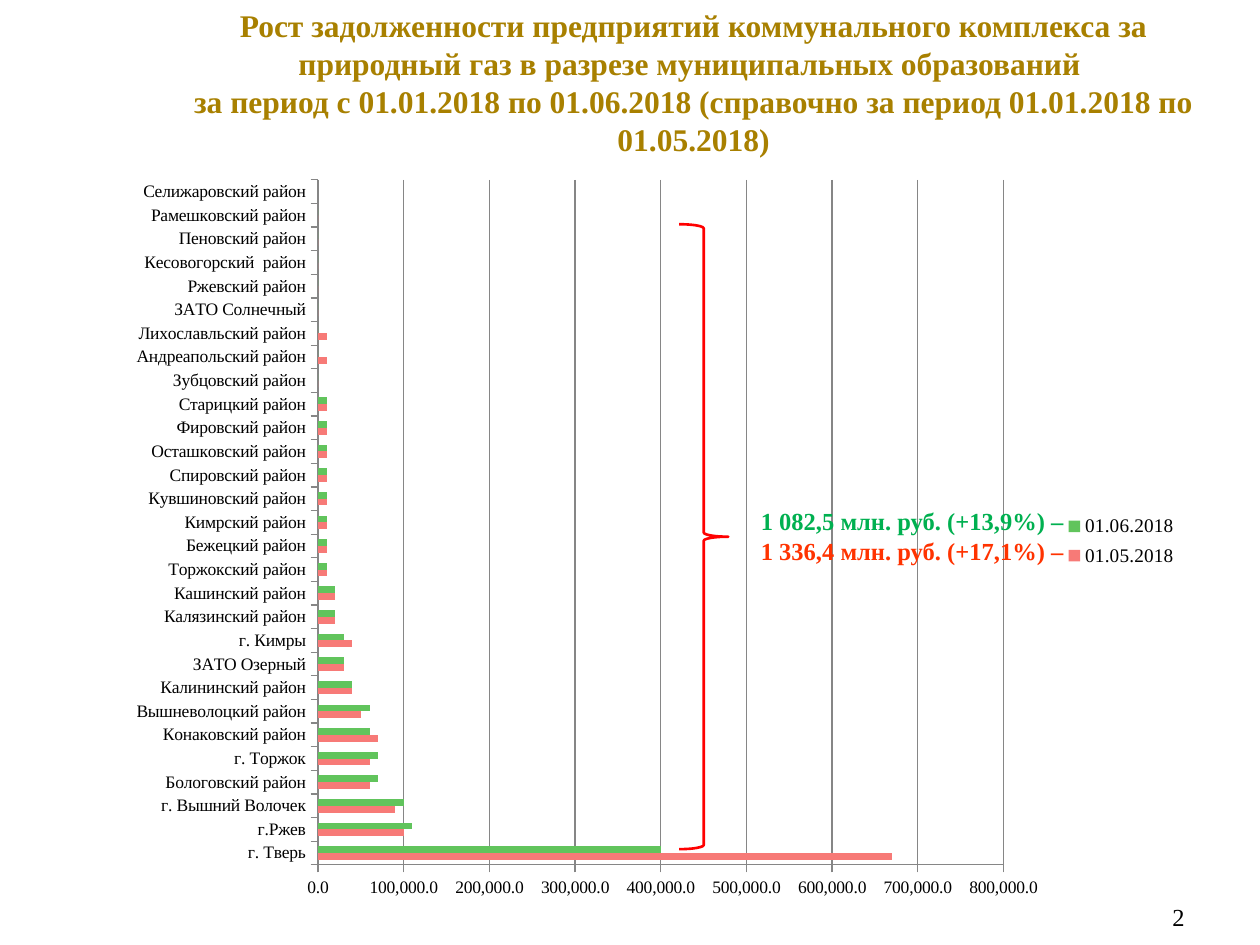
"""Build a slide with a bar chart of municipal gas debt growth."""
from dataclasses import dataclass

import pptx
import pptx.chart.data
import pptx.dml.color
import pptx.enum.chart
import pptx.enum.shapes
import pptx.enum.text
import pptx.oxml
import pptx.oxml.ns
import pptx.util

Inches = pptx.util.Inches
Pt = pptx.util.Pt
RGBColor = pptx.dml.color.RGBColor
Align = pptx.enum.text.PP_ALIGN

FONT = "Times New Roman"
BLACK = RGBColor(0x00, 0x00, 0x00)
GOLD = RGBColor(0xA8, 0x80, 0x00)
GREEN = RGBColor(0x00, 0xB0, 0x50)
ORANGE = RGBColor(0xFF, 0x33, 0x00)
RED = RGBColor(0xFF, 0x00, 0x00)
GRAY = RGBColor(0x86, 0x86, 0x86)
BAR_COLORS = (RGBColor(0xF7, 0x7A, 0x77), RGBColor(0x61, 0xC4, 0x5C))
DATES = ("01.05.2018", "01.06.2018")


@dataclass
class Box:
    left: float
    top: float
    width: float
    height: float

    def lengths(self) -> tuple:
        return tuple(Inches(value) for value in (self.left, self.top, self.width, self.height))


@dataclass
class District:
    name: str
    may: int
    june: int


@dataclass
class Line:
    text: str
    color: RGBColor


DISTRICTS = [
    District("г. Тверь", 670000, 400000),
    District("г.Ржев", 100000, 110000),
    District("г. Вышний Волочек", 90000, 100000),
    District("Бологовский район", 60000, 70000),
    District("г. Торжок", 60000, 70000),
    District("Конаковский район", 70000, 60000),
    District("Вышневолоцкий район", 50000, 60000),
    District("Калининский район", 40000, 40000),
    District("ЗАТО Озерный", 30000, 30000),
    District("г. Кимры", 40000, 30000),
    District("Калязинский район", 20000, 20000),
    District("Кашинский район", 20000, 20000),
    District("Торжокский район", 10000, 10000),
    District("Бежецкий район", 10000, 10000),
    District("Кимрский район", 10000, 10000),
    District("Кувшиновский район", 10000, 10000),
    District("Спировский район", 10000, 10000),
    District("Осташковский район", 10000, 10000),
    District("Фировский район", 10000, 10000),
    District("Старицкий район", 10000, 10000),
    District("Зубцовский район", 0, 0),
    District("Андреапольский район", 10000, 0),
    District("Лихославльский район", 10000, 0),
    District("ЗАТО Солнечный", 0, 0),
    District("Ржевский район", 0, 0),
    District("Кесовогорский  район", 0, 0),
    District("Пеновский район", 0, 0),
    District("Рамешковский район", 0, 0),
    District("Селижаровский район", -10000, -10000),
]


def add_text(slide, box: Box, lines: list[Line], *, size: float, bold: bool = False,
             alignment=Align.LEFT) -> None:
    shape = slide.shapes.add_textbox(*box.lengths())
    frame = shape.text_frame
    frame.word_wrap = True
    for index, line in enumerate(lines):
        paragraph = frame.paragraphs[0] if index == 0 else frame.add_paragraph()
        paragraph.alignment = alignment
        run = paragraph.add_run()
        run.text = line.text
        run.font.name = FONT
        run.font.size = Pt(size)
        run.font.bold = bold
        run.font.color.rgb = line.color


def format_font(font, size: float) -> None:
    font.name = FONT
    font.size = Pt(size)
    font.color.rgb = BLACK


def set_layout(element, box: Box, inner: bool = False) -> None:
    for old in element.findall(pptx.oxml.ns.qn("c:layout")):
        element.remove(old)
    target = '<c:layoutTarget val="inner"/>' if inner else ""
    layout = pptx.oxml.parse_xml(
        f'<c:layout {pptx.oxml.ns.nsdecls("c")}><c:manualLayout>{target}'
        '<c:xMode val="edge"/><c:yMode val="edge"/>'
        f'<c:x val="{box.left}"/><c:y val="{box.top}"/>'
        f'<c:w val="{box.width}"/><c:h val="{box.height}"/>'
        '</c:manualLayout></c:layout>')
    element.insert(0 if inner else 1, layout)


def add_debt_chart(slide, box: Box) -> None:
    data = pptx.chart.data.CategoryChartData(number_format="#,##0.0")
    data.categories = [district.name for district in DISTRICTS]
    data.add_series(DATES[0], [district.may for district in DISTRICTS])
    data.add_series(DATES[1], [district.june for district in DISTRICTS])
    chart = slide.shapes.add_chart(
        pptx.enum.chart.XL_CHART_TYPE.BAR_CLUSTERED, *box.lengths(), data).chart
    chart.has_title = False
    format_font(chart.font, 10)

    plot = chart.plots[0]
    plot.gap_width = 150
    plot.vary_by_categories = False
    for series, color in zip(plot.series, BAR_COLORS):
        series.invert_if_negative = False
        series.format.fill.solid()
        series.format.fill.fore_color.rgb = color

    value_axis = chart.value_axis
    value_axis.minimum_scale = 0
    value_axis.maximum_scale = 800000
    value_axis.major_unit = 100000
    value_axis.has_major_gridlines = True
    value_axis.major_gridlines.format.line.color.rgb = GRAY
    value_axis.tick_labels.number_format = "#,##0.0"
    value_axis.tick_labels.number_format_is_linked = False
    for axis in (value_axis, chart.category_axis):
        axis.format.line.color.rgb = GRAY
        axis.major_tick_mark = pptx.enum.chart.XL_TICK_MARK.OUTSIDE
        format_font(axis.tick_labels.font, 10)

    chart.has_legend = True
    legend = chart.legend
    legend.position = pptx.enum.chart.XL_LEGEND_POSITION.RIGHT
    legend.include_in_layout = False
    format_font(legend.font, 11)
    set_layout(legend._element, Box(0.88, 0.46, 0.12, 0.09))
    set_layout(chart._chartSpace.chart.plotArea, Box(0.19, 0.02, 0.64, 0.92), inner=True)


def add_brace(slide, box: Box) -> None:
    brace = slide.shapes.add_shape(
        pptx.enum.shapes.MSO_SHAPE.RIGHT_BRACE, *box.lengths())
    brace.shadow.inherit = False
    brace.fill.background()
    brace.line.color.rgb = RED
    brace.line.width = Pt(1.5)


def main() -> None:
    presentation = pptx.Presentation()
    presentation.slide_width = Inches(10)
    presentation.slide_height = Inches(7.5)
    slide = presentation.slides.add_slide(presentation.slide_layouts[6])

    add_debt_chart(slide, Box(0.91, 1.31, 8.5, 5.91))
    add_text(slide, Box(1.37, 0, 8.27, 1.31), [
        Line("Рост задолженности предприятий коммунального комплекса за природный газ "
             "в разрезе муниципальных образований ", GOLD),
        Line("за период с 01.01.2018 по 01.06.2018 "
             "(справочно за период 01.01.2018 по 01.05.2018)", GOLD),
    ], size=18, bold=True, alignment=Align.CENTER)
    add_text(slide, Box(5.94, 3.97, 3.46, 0.57), [
        Line("1 082,5 млн. руб. (+13,9%) –", GREEN),
        Line("1 336,4 млн. руб. (+17,1%) –", ORANGE),
    ], size=14, bold=True)
    add_brace(slide, Box(5.39, 1.78, 0.39, 4.96))
    add_text(slide, Box(9.06, 7.11, 0.44, 0.24), [Line("2", BLACK)],
             size=14, alignment=Align.RIGHT)
    presentation.save("out.pptx")


if __name__ == "__main__":
    main()
